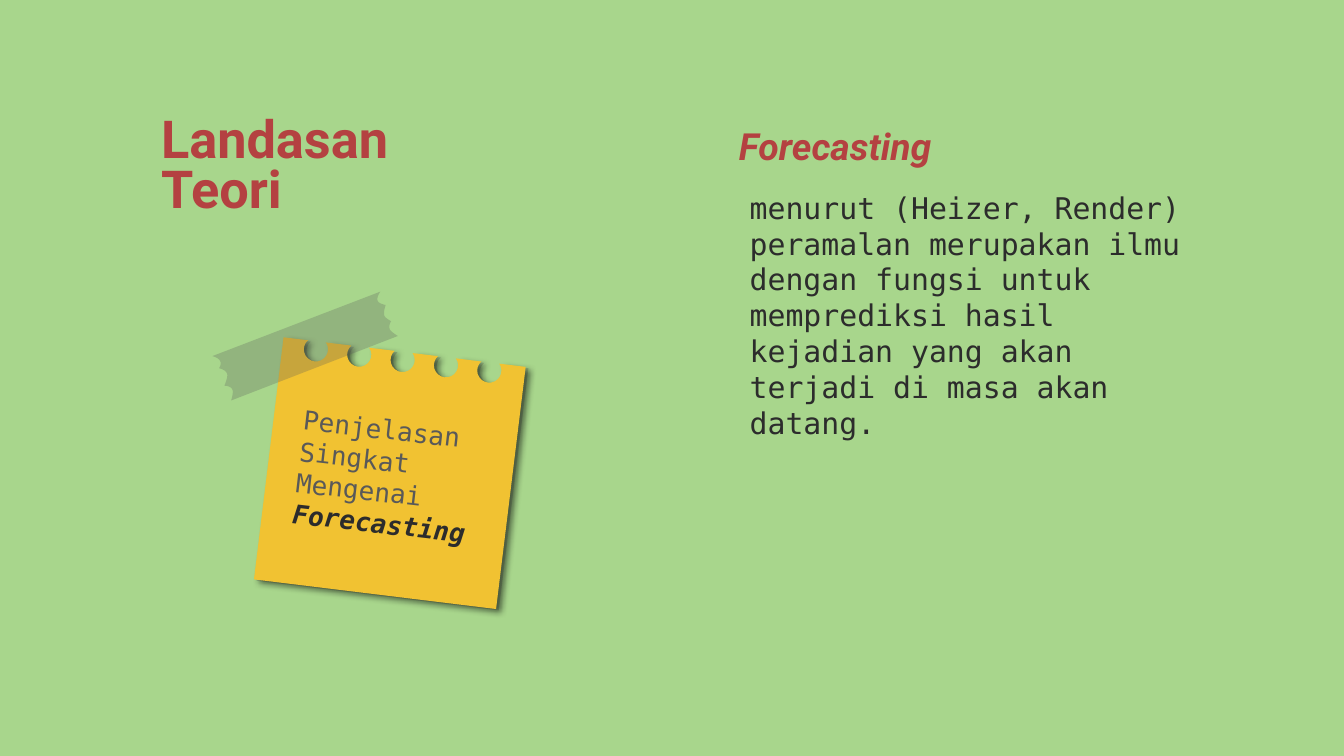
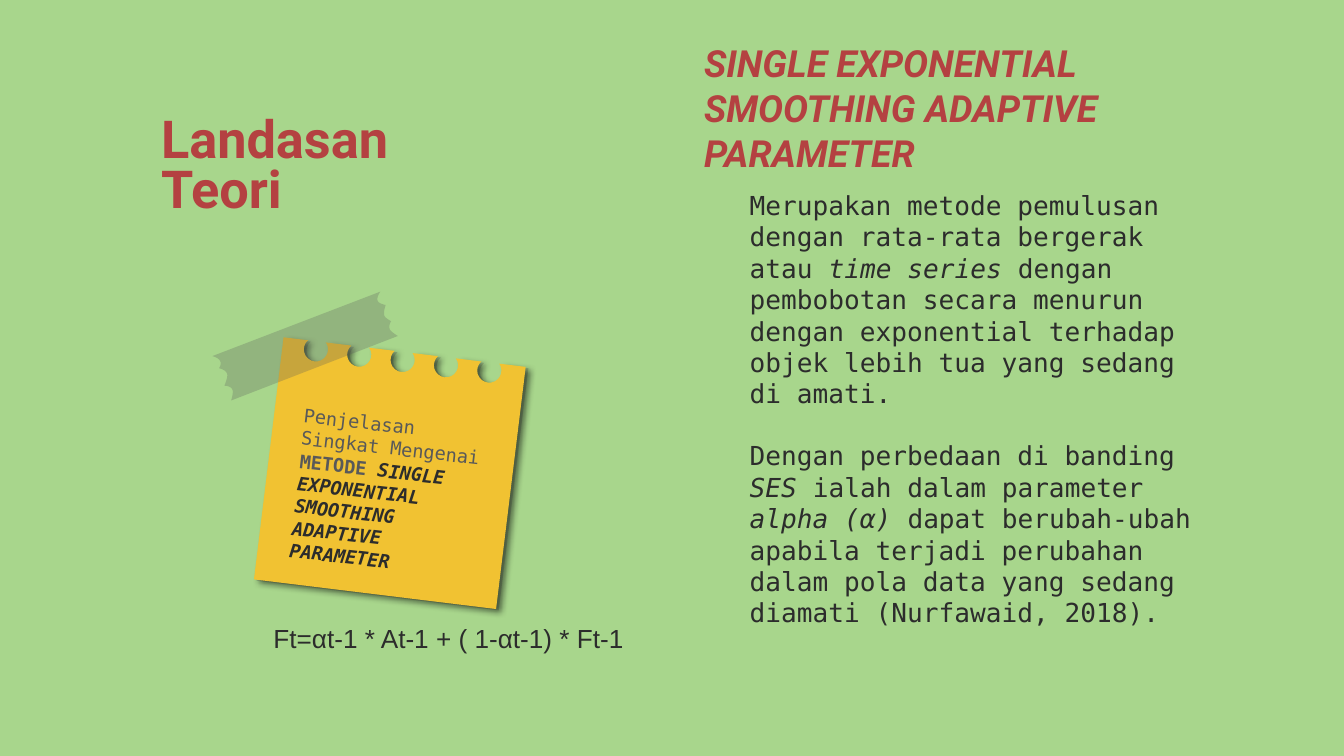
from dataclasses import dataclass
from math import asin, cos, radians, sin, sqrt

from lxml.etree import SubElement
from pptx import Presentation
from pptx.dml.color import RGBColor
from pptx.enum.text import MSO_ANCHOR as Anchor, PP_ALIGN as Align
from pptx.oxml.ns import qn
from pptx.util import Pt

PX = 4572  # EMU per px, 200 px to the inch
SLIDE_SIZE = (2000, 1125)


@dataclass(frozen=True)
class Theme:
    background: str = "A8D68C"
    accent: str = "B44141"
    ink: str = "2C2C2C"
    grey: str = "595959"
    note: str = "F1C232"
    heading_font: str = "Roboto"
    body_font: str = "DejaVu Sans Mono"
    formula_font: str = "Arial"
    title_size: int = 28
    heading_size: int = 20
    large_size: int = 16
    medium_size: int = 14
    small_size: int = 10


THEME = Theme()

# Content: a paragraph is a list of (text, style); b = bold, i = italic, k = ink colour
TITLE = "Landasan Teori"
SLIDES = [
    {
        "heading": "Forecasting",
        "heading_box": (1080, 164, 510, 106),
        "body_size": THEME.large_size,
        "body": [[("menurut (Heizer, Render) peramalan merupakan ilmu dengan fungsi untuk "
                   "memprediksi hasil kejadian yang akan terjadi di masa akan datang.", "")]],
        "note_size": THEME.medium_size,
        "notes": [((422, 596, 314, 248),
                   [("Penjelasan Singkat Mengenai ", ""), ("Forecasting", "bik")])],
    },
    {
        "heading": "SINGLE EXPONENTIAL SMOOTHING ADAPTIVE PARAMETER",
        "heading_box": (1028, 174, 860, 106),
        "body_size": THEME.medium_size,
        "body": [
            [("Merupakan metode pemulusan dengan rata-rata bergerak atau ", ""),
             ("time series ", "i"),
             ("dengan pembobotan secara menurun dengan exponential terhadap objek "
              "lebih tua yang sedang di amati.", "")],
            [("Dengan perbedaan di banding ", ""), ("SES ", "i"),
             ("ialah dalam parameter ", ""), ("alpha (α) ", "i"),
             ("dapat berubah-ubah apabila terjadi perubahan dalam pola data yang "
              "sedang diamati (Nurfawaid, 2018).", "")],
        ],
        "note_size": THEME.small_size,
        "notes": [
            ((422, 596, 314, 248), [("Penjelasan Singkat Mengenai", "")]),
            ((416, 664, 314, 248),
             [("METODE", "b"), (" SINGLE EXPONENTIAL SMOOTHING ADAPTIVE PARAMETER", "bik")]),
        ],
        "formula": "Ft=αt-1 * At-1 + ( 1-αt-1) * Ft-1",
    },
]

# Shared places
TITLE_BOX = (220, 156, 526, 126)
BODY_BOX = (1096, 262, 730, 126)
FORMULA_BOX = (382, 912, 572, 74)
TEXT_INSET = 20
TEXT_TILT = 6.5

# Sticky note: a tilted square with five punched holes along its top edge
NOTE_CORNER = (422, 502)
NOTE_SIDE = 363
NOTE_TILT = radians(6.97)
NOTE_BACK_OFFSET = (4, 2)
HOLE_COUNT, HOLE_FIRST, HOLE_STEP = 5, 50, 65
HOLE_RADIUS, HOLE_DEPTH = 18, 12
ARC_STEPS = 16

# Tape: torn edges from top to bottom, alternating notch and bulge
TAPE_LEFT = [(316, 530), (328, 538), (326, 548), (338, 556), (334, 574), (346, 580), (344, 596)]
TAPE_RIGHT = [(566, 434), (562, 448), (574, 454), (572, 470), (582, 478), (580, 490), (592, 500)]
CURVE_STEPS = 6
GLASS_ALPHA = 27


def color(value):
    return RGBColor.from_string(value)


def add_text(slide, box, paragraphs, size, font, ink, strong=None, inset=TEXT_INSET,
             anchor=Anchor.TOP, align=None, line_spacing=None, gap=0, after=0, tilt=0):
    shape = slide.shapes.add_textbox(*(value * PX for value in box))
    shape.rotation = tilt
    frame = shape.text_frame
    frame.word_wrap = True
    frame.vertical_anchor = anchor
    frame.margin_left = frame.margin_right = inset * PX
    frame.margin_top = frame.margin_bottom = min(inset, TEXT_INSET) * PX
    for index, parts in enumerate(paragraphs):
        paragraph = frame.add_paragraph() if index else frame.paragraphs[0]
        paragraph.alignment = align
        paragraph.line_spacing = line_spacing
        paragraph.space_before = Pt(gap if index else 0)
        paragraph.space_after = Pt(after)
        for text, style in parts:
            run = paragraph.add_run()
            run.text = text
            run.font.name = font
            run.font.size = Pt(size)
            run.font.bold = "b" in style
            run.font.italic = "i" in style
            run.font.color.rgb = color(strong if "k" in style else ink)


def add_outline(slide, points, fill, alpha=None):
    scaled = [(x * PX, y * PX) for x, y in points]
    builder = slide.shapes.build_freeform(*map(round, scaled[0]), scale=1.0)
    builder.add_line_segments(scaled[1:], close=True)
    shape = builder.convert_to_shape()
    shape.shadow.inherit = False
    shape.line.fill.background()
    shape.fill.solid()
    shape.fill.fore_color.rgb = color(fill)
    if alpha:
        tint = shape.element.spPr.find(".//" + qn("a:srgbClr"))
        SubElement(tint, qn("a:alpha"), val=str(alpha * 1000))
    return shape


def add_shadow(shape):
    effects = shape.element.spPr.find(qn("a:effectLst"))
    shadow = SubElement(effects, qn("a:outerShdw"), blurRad=str(Pt(3.4)), dist=str(Pt(3)),
                        dir=str(36 * 60000), algn="bl", rotWithShape="0")
    tint = SubElement(shadow, qn("a:srgbClr"), val="000000")
    SubElement(tint, qn("a:alpha"), val="50000")


def note_points():
    """Square with punched holes, turned around its top left corner."""
    flat = [(0, 0)]
    lift = asin(HOLE_DEPTH / HOLE_RADIUS)
    start, sweep = radians(180) + lift, -radians(180) - 2 * lift
    for hole in range(HOLE_COUNT):
        center = HOLE_FIRST + hole * HOLE_STEP
        for step in range(ARC_STEPS + 1):
            angle = start + sweep * step / ARC_STEPS
            flat.append((center + HOLE_RADIUS * cos(angle),
                         HOLE_DEPTH + HOLE_RADIUS * sin(angle)))
    flat += [(NOTE_SIDE, 0), (NOTE_SIDE, NOTE_SIDE), (0, NOTE_SIDE)]
    left, top = NOTE_CORNER
    return [(left + x * cos(NOTE_TILT) - y * sin(NOTE_TILT),
             top + x * sin(NOTE_TILT) + y * cos(NOTE_TILT)) for x, y in flat]


def torn_edge(knots):
    """Smooth curve through the knots, rounded at every second one."""
    points = [knots[0]]
    for index, (begin, end) in enumerate(zip(knots, knots[1:])):
        if index % 2:
            controls = (begin, (begin[0] + 2, begin[1] + 4), end, end)
        else:
            controls = (begin, begin, (end[0] - 2, end[1] - 6), end)
        for step in range(1, CURVE_STEPS + 1):
            t = step / CURVE_STEPS
            weights = ((1 - t) ** 3, 3 * t * (1 - t) ** 2, 3 * t * t * (1 - t), t ** 3)
            points.append(tuple(sum(w * c[axis] for w, c in zip(weights, controls))
                                for axis in (0, 1)))
    return points


def add_taped_note(slide):
    front = note_points()
    shift_x, shift_y = NOTE_BACK_OFFSET
    back = [(x + shift_x, y + shift_y) for x, y in front]
    add_outline(slide, back, THEME.grey, GLASS_ALPHA)
    add_shadow(add_outline(slide, front, THEME.note))
    tape = torn_edge(TAPE_LEFT) + torn_edge(TAPE_RIGHT)[::-1]
    add_outline(slide, tape, THEME.grey, GLASS_ALPHA)


def add_theory_slide(presentation, content):
    slide = presentation.slides.add_slide(presentation.slide_layouts[6])
    slide.background.fill.solid()
    slide.background.fill.fore_color.rgb = color(THEME.background)

    # Title and taped note
    add_text(slide, TITLE_BOX, [[(TITLE, "b")]], THEME.title_size, THEME.heading_font,
             THEME.accent, line_spacing=0.8)
    add_taped_note(slide)
    for box, parts in content["notes"]:
        add_text(slide, box, [parts], content["note_size"], THEME.body_font, THEME.grey,
                 strong=THEME.ink, after=16, tilt=TEXT_TILT)

    # Heading and explanation
    add_text(slide, content["heading_box"], [[(content["heading"], "bi")]],
             THEME.heading_size, THEME.heading_font, THEME.accent, anchor=Anchor.BOTTOM)
    add_text(slide, BODY_BOX, content["body"], content["body_size"], THEME.body_font,
             THEME.ink, gap=16.5)

    # Formula
    if "formula" in content:
        add_text(slide, FORMULA_BOX, [[(content["formula"], "")]], THEME.medium_size,
                 THEME.formula_font, THEME.ink, inset=10, anchor=Anchor.MIDDLE,
                 align=Align.CENTER)


def main():
    presentation = Presentation()
    presentation.slide_width, presentation.slide_height = (side * PX for side in SLIDE_SIZE)
    for content in SLIDES:
        add_theory_slide(presentation, content)
    presentation.save("out.pptx")


if __name__ == "__main__":
    main()
